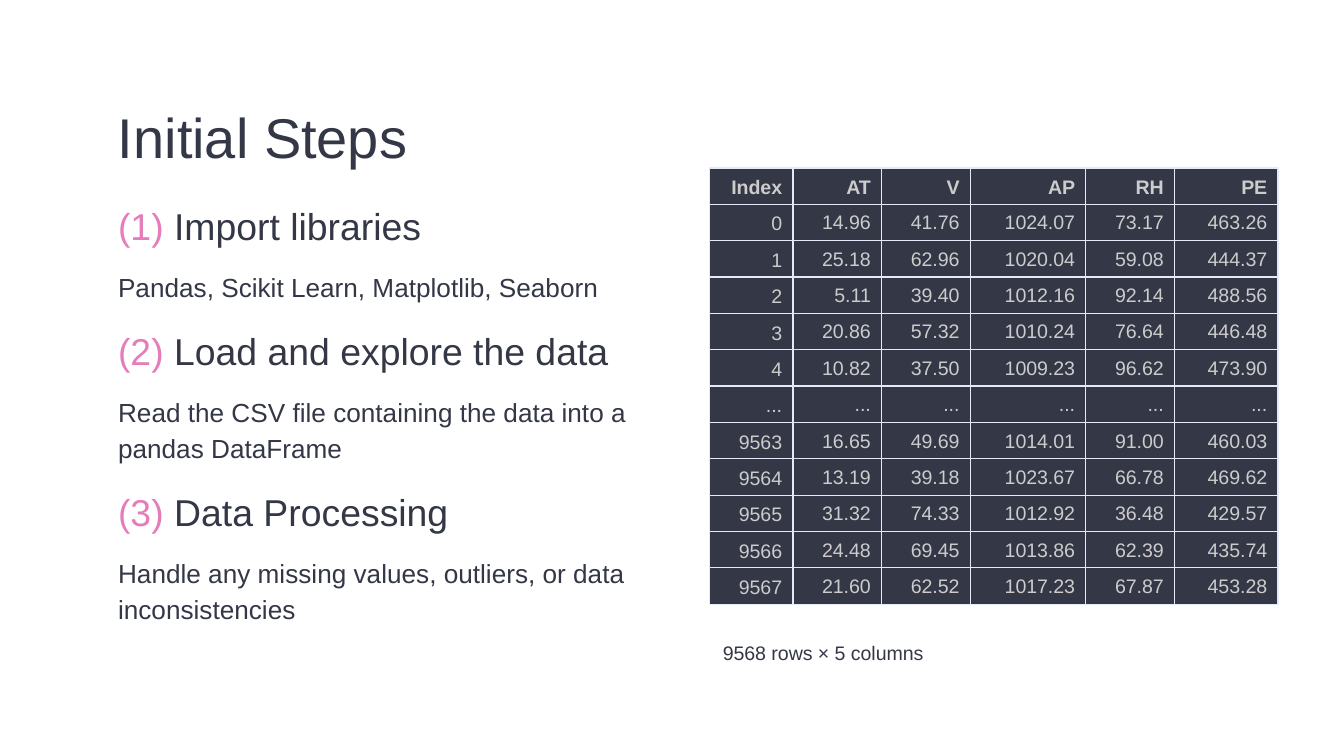
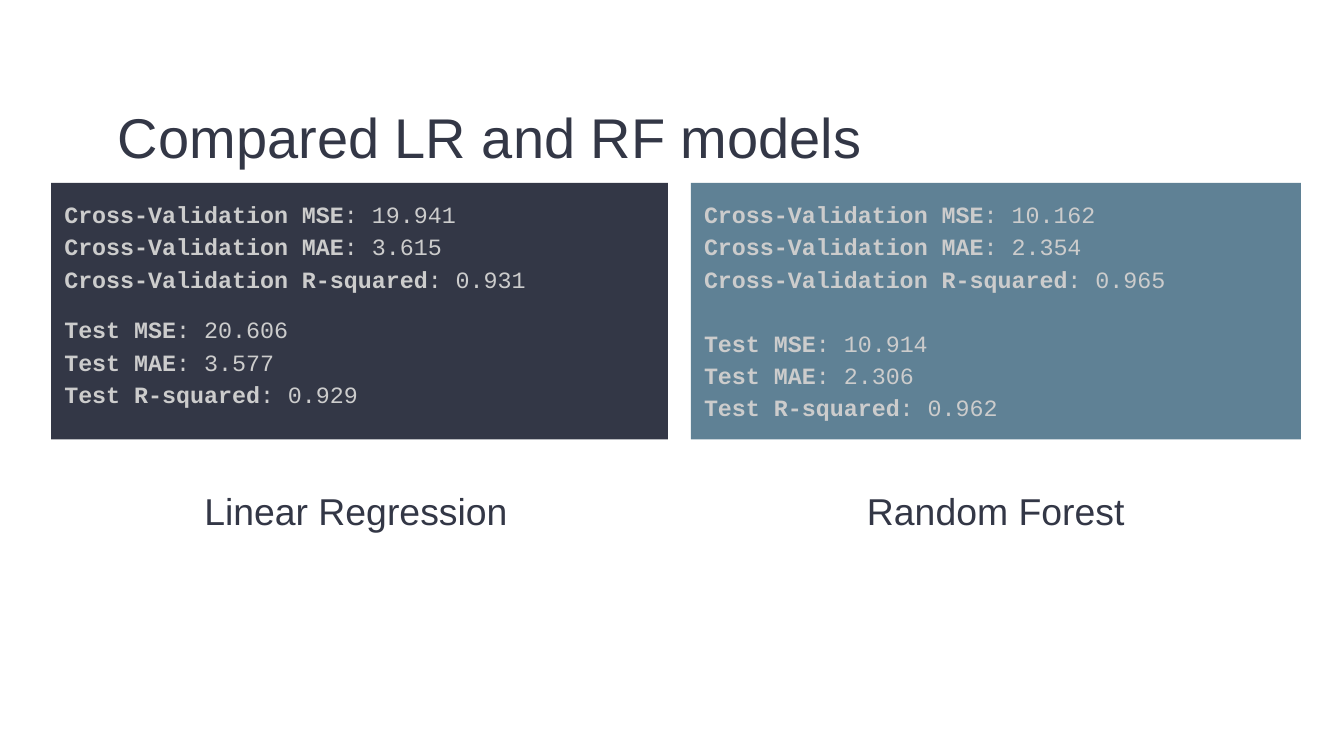
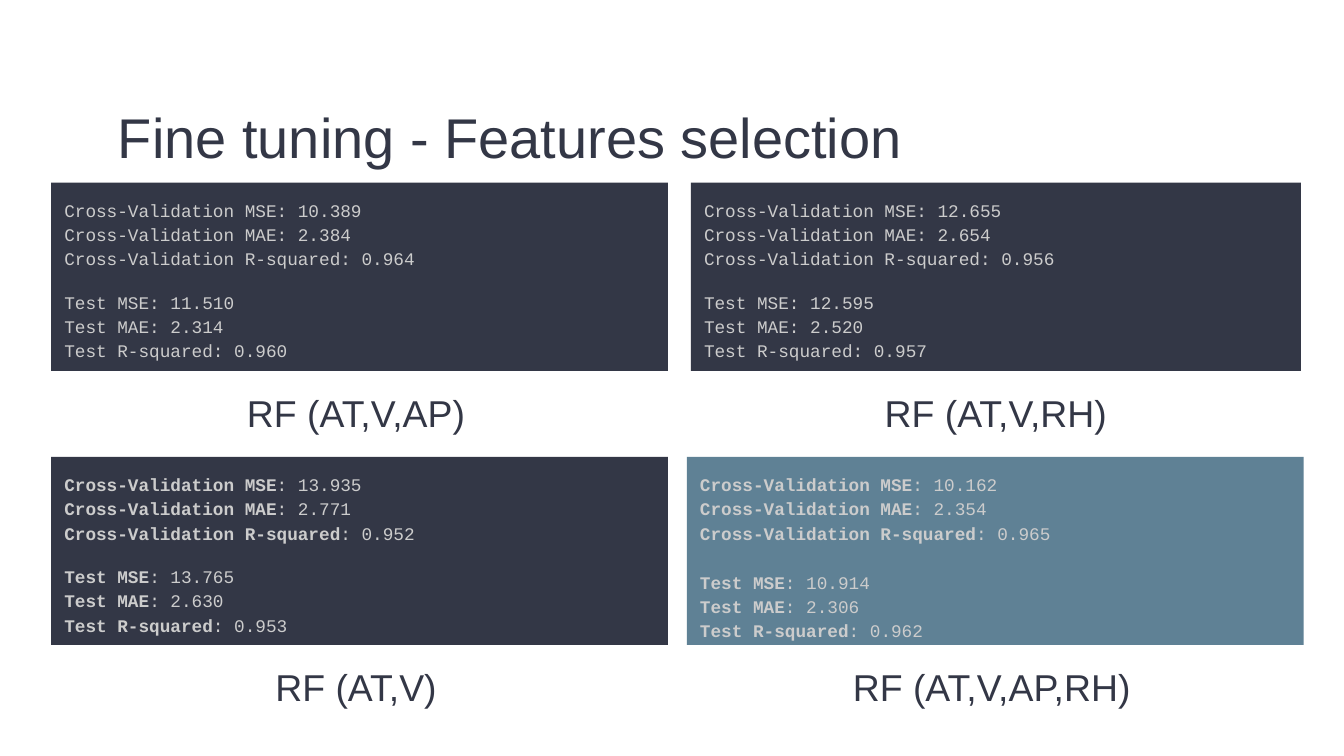
from copy import deepcopy
from dataclasses import dataclass

from lxml.etree import SubElement
from pptx import Presentation
from pptx.dml.color import RGBColor
from pptx.enum.shapes import MSO_SHAPE
from pptx.enum.text import MSO_ANCHOR, MSO_AUTO_SIZE, PP_ALIGN
from pptx.oxml.ns import qn
from pptx.util import Inches, Pt


@dataclass(frozen=True)
class Theme:
    """Colours, fonts and type sizes shared by all slides."""

    navy: str = "333746"
    steel: str = "5F8195"
    pink: str = "E67CB9"
    silver: str = "CCCCCC"
    grid: str = "E6E9F8"
    sans: str = "Arial"
    mono: str = "Courier New"
    title_size: float = 30
    heading_size: float = 20
    body_size: float = 14
    table_size: float = 10.5
    large_metric: float = 12.5
    small_metric: float = 9.5
    line_spacing: float = 1.15
    gap: float = 10
    metric_line: float = 1.38


THEME = Theme()

STEPS = [
    ("(1)", "Import libraries", "Pandas, Scikit Learn, Matplotlib, Seaborn"),
    ("(2)", "Load and explore the data",
     "Read the CSV file containing the data into a pandas DataFrame"),
    ("(3)", "Data Processing",
     "Handle any missing values, outliers, or data inconsistencies"),
]
READINGS = [
    ["Index", "AT", "V", "AP", "RH", "PE"],
    ["0", "14.96", "41.76", "1024.07", "73.17", "463.26"],
    ["1", "25.18", "62.96", "1020.04", "59.08", "444.37"],
    ["2", "5.11", "39.40", "1012.16", "92.14", "488.56"],
    ["3", "20.86", "57.32", "1010.24", "76.64", "446.48"],
    ["4", "10.82", "37.50", "1009.23", "96.62", "473.90"],
    ["..."] * 6,
    ["9563", "16.65", "49.69", "1014.01", "91.00", "460.03"],
    ["9564", "13.19", "39.18", "1023.67", "66.78", "469.62"],
    ["9565", "31.32", "74.33", "1012.92", "36.48", "429.57"],
    ["9566", "24.48", "69.45", "1013.86", "62.39", "435.74"],
    ["9567", "21.60", "62.52", "1017.23", "67.87", "453.28"],
]
COLUMN_WIDTHS = [0.62, 0.66, 0.66, 0.86, 0.66, 0.77]
ROW_HEIGHT = 0.27
STAGES = ["Cross-Validation", "Test"]
MEASURES = ["MSE", "MAE", "R-squared"]
FULL_FOREST = ["10.162", "2.354", "0.965", "10.914", "2.306", "0.962"]
CAPTION_WIDTH, CAPTION_HEIGHT = 4.54, 0.54


def style_run(run, size, color, font=THEME.sans, bold=False):
    """Apply the typeface, size, colour and weight to a run."""
    run.font.name = font
    run.font.size = Pt(size)
    run.font.color.rgb = RGBColor.from_string(color)
    run.font.bold = bold


def add_styled_run(paragraph, text, *style):
    """Append text to a paragraph in the given style and return the run."""
    run = paragraph.add_run()
    run.text = text
    style_run(run, *style)
    return run


def add_styled_break(paragraph, run):
    """Append a line break that keeps the format of a run."""
    paragraph.add_line_break()
    paragraph._p.findall(qn("a:br"))[-1].append(deepcopy(run._r.rPr))


def space_paragraph(paragraph, before=0, after=0, alignment=PP_ALIGN.LEFT):
    """Set the spacing and alignment of a paragraph."""
    paragraph.line_spacing = THEME.line_spacing
    paragraph.space_before = Pt(before)
    paragraph.space_after = Pt(after)
    paragraph.alignment = alignment


def set_insets(text_frame):
    """Give a text frame wrapping, equal insets and top anchoring."""
    text_frame.word_wrap = True
    text_frame.vertical_anchor = MSO_ANCHOR.TOP
    text_frame.margin_left = text_frame.margin_right = Inches(0.1)
    text_frame.margin_top = text_frame.margin_bottom = Inches(0.1)


def next_paragraph(text_frame, index):
    """Return the first paragraph for index zero, else a new one."""
    return text_frame.add_paragraph() if index else text_frame.paragraphs[0]


def add_text_box(slide, box):
    """Add a wrapped text box and return its text frame."""
    text_frame = slide.shapes.add_textbox(*map(Inches, box)).text_frame
    set_insets(text_frame)
    return text_frame


def add_line(slide, box, text, size, **spacing):
    """Add a text box holding one navy line."""
    text_frame = add_text_box(slide, box)
    text_frame.text = text
    paragraph = text_frame.paragraphs[0]
    space_paragraph(paragraph, **spacing)
    style_run(paragraph.runs[0], size, THEME.navy)
    return text_frame


def add_titled_slide(presentation, title):
    """Add a blank slide with the shared title."""
    slide = presentation.slides.add_slide(presentation.slide_layouts[6])
    add_line(slide, (0.78, 0.59, 8.44, 0.77), title, THEME.title_size)
    return slide


def add_steps(slide, box):
    """List the numbered steps with their explanations."""
    text_frame = add_text_box(slide, box)
    for index, (number, heading, detail) in enumerate(STEPS):
        paragraph = next_paragraph(text_frame, index)
        space_paragraph(paragraph, before=THEME.gap if index else 0)
        add_styled_run(paragraph, f"{number} ", THEME.heading_size, THEME.pink)
        add_styled_run(paragraph, heading, THEME.heading_size, THEME.navy)
        paragraph = text_frame.add_paragraph()
        space_paragraph(paragraph, before=THEME.gap)
        add_styled_run(paragraph, detail, THEME.body_size, THEME.navy)


def set_cell_borders(cell):
    """Draw thin lines on all four sides of a cell."""
    properties = cell._tc.get_or_add_tcPr()
    for index, side in enumerate(("lnL", "lnR", "lnT", "lnB")):
        line = properties.makeelement(qn(f"a:{side}"), {"w": str(Pt(0.75))})
        fill = SubElement(line, qn("a:solidFill"))
        SubElement(fill, qn("a:srgbClr"), val=THEME.grid)
        properties.insert(index, line)


def fill_cell(cell, text, is_header, is_centred):
    """Write and style one table cell."""
    cell.fill.solid()
    cell.fill.fore_color.rgb = RGBColor.from_string(THEME.navy)
    cell.margin_left = cell.margin_right = Inches(0.08)
    cell.margin_top = cell.margin_bottom = Inches(0.07 / 2)
    cell.vertical_anchor = MSO_ANCHOR.MIDDLE if is_centred else MSO_ANCHOR.TOP
    cell.text_frame.text = text
    paragraph = cell.text_frame.paragraphs[0]
    space_paragraph(paragraph, alignment=PP_ALIGN.RIGHT)
    style_run(paragraph.runs[0], THEME.table_size, THEME.silver, bold=is_header)
    set_cell_borders(cell)


def add_readings_table(slide, left, top):
    """Add the table of sensor readings."""
    size = (sum(COLUMN_WIDTHS), ROW_HEIGHT * len(READINGS))
    table = slide.shapes.add_table(
        len(READINGS), len(COLUMN_WIDTHS), *map(Inches, (left, top, *size))).table
    for column, width in zip(table.columns, COLUMN_WIDTHS):
        column.width = Inches(width)
    for row_index, values in enumerate(READINGS):
        table.rows[row_index].height = Inches(ROW_HEIGHT)
        for column_index, text in enumerate(values):
            fill_cell(table.cell(row_index, column_index), text,
                      row_index == 0, 0 in (row_index, column_index))


def add_metric_group(paragraph, stage, values, size, bold):
    """Write the metrics of one stage on successive lines."""
    for index, (measure, value) in enumerate(zip(MEASURES, values)):
        if index:
            add_styled_break(paragraph, paragraph.runs[-1])
        add_styled_run(paragraph, f"{stage} {measure}", size, THEME.silver,
                       THEME.mono, bold)
        add_styled_run(paragraph, f": {value}", size, THEME.silver, THEME.mono)


def add_metric_panel(slide, box, values, size, bold=True, best=False):
    """Add a coloured panel of cross-validation and test metrics."""
    panel = slide.shapes.add_shape(MSO_SHAPE.RECTANGLE, *map(Inches, box))
    panel.shadow.inherit = False
    panel.fill.solid()
    panel.fill.fore_color.rgb = RGBColor.from_string(
        THEME.steel if best else THEME.navy)
    panel.line.fill.background()
    set_insets(panel.text_frame)
    group_gap = size * THEME.metric_line if best else THEME.gap
    for index, stage in enumerate(STAGES):
        paragraph = next_paragraph(panel.text_frame, index)
        space_paragraph(paragraph, before=group_gap * index)
        start = index * len(MEASURES)
        add_metric_group(paragraph, stage, values[start:], size, bold)


def add_model(slide, box, caption, caption_gap, values, size, **panel_style):
    """Add a metric panel with its caption below."""
    left, top, _, height = box
    add_metric_panel(slide, box, values, size, **panel_style)
    caption_box = (left, top + height + caption_gap, CAPTION_WIDTH, CAPTION_HEIGHT)
    text_frame = add_line(slide, caption_box, caption, THEME.heading_size,
                          after=THEME.gap, alignment=PP_ALIGN.CENTER)
    text_frame.auto_size = MSO_AUTO_SIZE.SHAPE_TO_FIT_TEXT


def build_initial_steps(presentation):
    """Build the slide of steps and sample data."""
    slide = add_titled_slide(presentation, "Initial Steps")
    add_steps(slide, (0.78, 1.36, 4.41, 3.68))
    add_readings_table(slide, 5.28, 1.25)
    row_count = add_line(slide, (5.28, 4.65, 4.03, 0.38), "9568 rows × 5 columns",
                         THEME.table_size, before=11, after=11)
    row_count.vertical_anchor = MSO_ANCHOR.MIDDLE


def build_model_comparison(presentation):
    """Build the slide comparing the two models."""
    slide = add_titled_slide(presentation, "Compared LR and RF models")
    add_model(slide, (0.38, 1.36, 4.59, 1.91), "Linear Regression", 0.21,
              ["19.941", "3.615", "0.931", "20.606", "3.577", "0.929"],
              THEME.large_metric)
    add_model(slide, (5.14, 1.36, 4.54, 1.91), "Random Forest", 0.21,
              FULL_FOREST, THEME.large_metric, best=True)


def build_feature_selection(presentation):
    """Build the slide comparing feature subsets."""
    slide = add_titled_slide(presentation, "Fine tuning - Features selection")
    models = [
        ((0.38, 1.36, 4.59, 1.4), "RF (AT,V,AP)", False, False,
         ["10.389", "2.384", "0.964", "11.510", "2.314", "0.960"]),
        ((5.14, 1.36, 4.54, 1.4), "RF (AT,V,RH)", False, False,
         ["12.655", "2.654", "0.956", "12.595", "2.520", "0.957"]),
        ((0.38, 3.4, 4.59, 1.4), "RF (AT,V)", True, False,
         ["13.935", "2.771", "0.952", "13.765", "2.630", "0.953"]),
        ((5.11, 3.4, 4.59, 1.4), "RF (AT,V,AP,RH)", True, True, FULL_FOREST),
    ]
    for box, caption, bold, best, values in models:
        add_model(slide, box, caption, -0.01, values, THEME.small_metric,
                  bold=bold, best=best)


def main():
    """Build and save the presentation."""
    presentation = Presentation()
    presentation.slide_width = Inches(10)
    presentation.slide_height = Inches(10 * 9 / 16)
    build_initial_steps(presentation)
    build_model_comparison(presentation)
    build_feature_selection(presentation)
    presentation.save("out.pptx")


if __name__ == "__main__":
    main()
